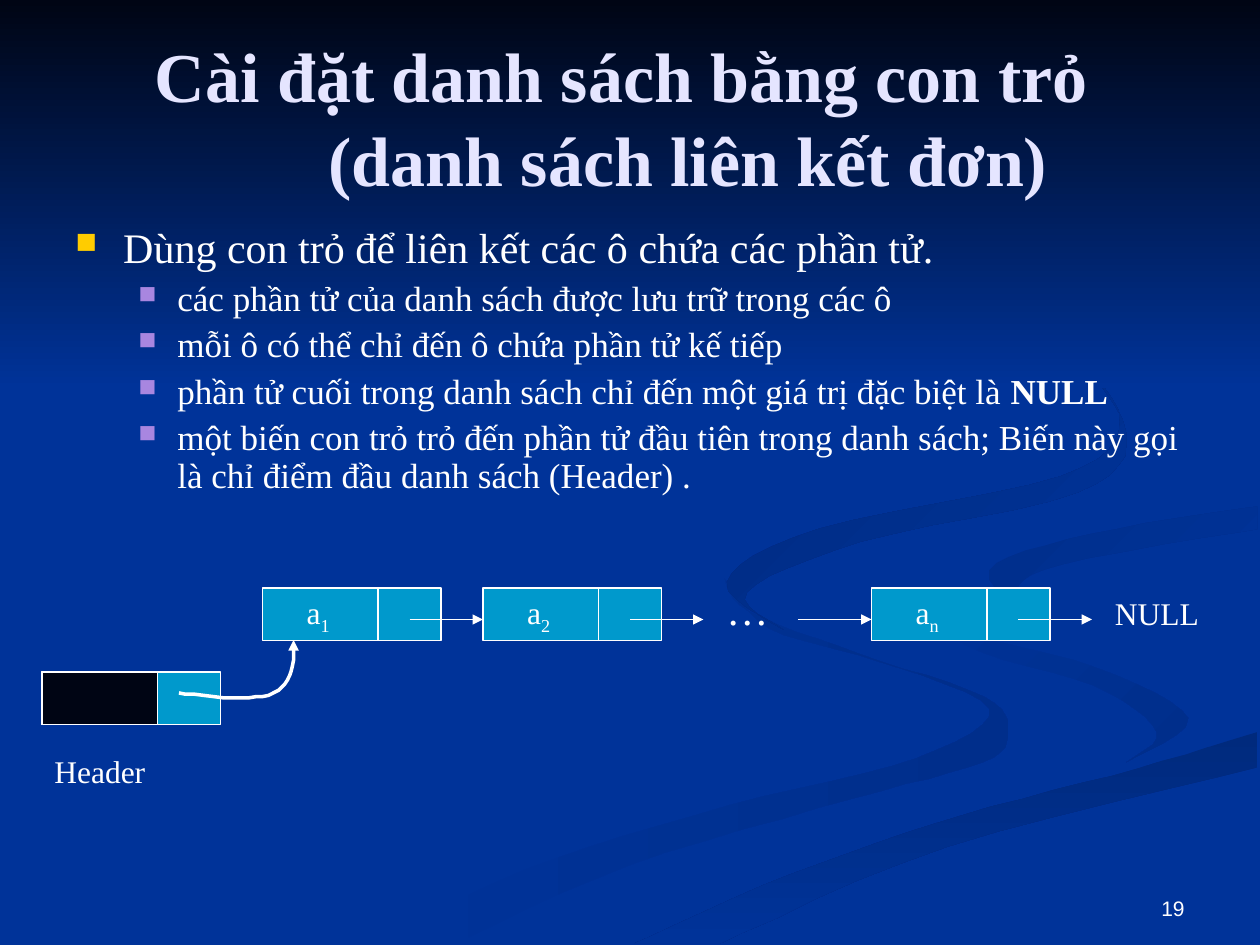
from dataclasses import dataclass
from lxml.etree import SubElement
from pptx import Presentation
from pptx.dml.color import RGBColor
from pptx.enum.shapes import MSO_CONNECTOR as CONN, MSO_SHAPE as SHAPE
from pptx.enum.text import MSO_ANCHOR as ANCHOR, PP_ALIGN as ALIGN
from pptx.oxml.ns import qn
from pptx.util import Inches, Pt


@dataclass(frozen=True)
class Theme:
    ground: str = "003399"
    night: str = "000514"
    shade: str = "002E8B"
    deep: str = "002A7D"
    cell: str = "0099CC"
    text: str = "FFFFFF"
    title: str = "E5E5FF"
    bullet: str = "FFCC00"
    sub_bullet: str = "A886E0"
    serif: str = "Times New Roman"
    sans: str = "Arial"
    title_size: int = 40
    body_size: int = 24
    sub_size: int = 20
    label_size: int = 18
    number_size: int = 12
    thin: float = 0.75
    thick: float = 2


COLS, ROWS = 120, 90
HUNDREDTH = 9144  # EMU in a hundredth of an inch, the unit of curves

# Ribbons of the backdrop: first colour, last colour, clockwise angle, two edges
RIBBONS = [
    (Theme.ground, Theme.shade, 0,
     [(575, 459), (611, 499), (697, 525), (785, 562), (727, 602), (579, 639),
      (417, 690), (300, 749)],
     [(361, 749), (499, 687), (676, 634), (780, 605), (800, 581), (781, 553),
      (682, 519), (594, 485), (575, 459)]),
    (Theme.ground, Theme.shade, 45,
     [(724, 464), (766, 512), (868, 544), (918, 581), (894, 605)],
     [(894, 605), (943, 570), (870, 530), (758, 498), (724, 464)]),
    (Theme.deep, Theme.ground, 90,
     [(503, 749), (630, 693), (764, 647), (903, 610), (998, 581)],
     [(998, 609), (752, 672), (571, 749)]),
    (Theme.shade, Theme.ground, 45,
     [(998, 402), (865, 424), (785, 453), (826, 496)],
     [(826, 496), (805, 472), (843, 448), (998, 420)]),
    (Theme.deep, Theme.ground, 45,
     [(762, 233), (846, 279), (889, 335), (842, 378), (649, 420), (577, 462), (622, 500)],
     [(622, 500), (593, 470), (683, 430), (855, 391), (894, 344), (843, 275), (762, 233)]),
]
POINTER = [(142, 550), (185, 554), (217, 550), (231, 533), (233, 508)]


def rgb(code):
    return RGBColor.from_string(code)


def smooth(knots, steps=6):
    """Points on a Catmull-Rom curve through the knots."""
    ends = [knots[0], *knots, knots[-1]]
    pts = [knots[0]]
    for quad in zip(ends, ends[1:], ends[2:], ends[3:]):
        for t in (i / steps for i in range(1, steps + 1)):
            pts.append(tuple(
                round(b + t / 2 * (c - a + t * (2 * a - 5 * b + 4 * c - d
                                                + t * (3 * (b - c) + d - a))))
                for a, b, c, d in zip(*quad)))
    return pts


class Deck:
    def __init__(self, theme):
        self.theme = theme
        self.prs = Presentation()
        self.prs.slide_width, self.prs.slide_height = Inches(10), Inches(7.5)
        self.s = self.prs.slides.add_slide(self.prs.slide_layouts[6])
        self.s.background.fill.solid()
        self.s.background.fill.fore_color.rgb = rgb(theme.ground)

    def grid(self, *lengths):
        """Alternating column and row counts as slide lengths."""
        units = (self.prs.slide_width / COLS, self.prs.slide_height / ROWS)
        return [round(n * units[i % 2]) for i, n in enumerate(lengths)]

    def stroke(self, sp, width, arrow=False):
        sp.line.color.rgb = rgb(self.theme.text)
        sp.line.width = Pt(width)
        if arrow:
            SubElement(sp.element.spPr.find(qn("a:ln")), qn("a:tailEnd"), type="triangle")

    def gradient(self, sp, first, last, angle):
        sp.shadow.inherit = False
        sp.line.fill.background()
        sp.fill.gradient()
        sp.fill.gradient_angle = -angle % 360
        for stop, color in zip(sp.fill.gradient_stops, (first, last)):
            stop.color.rgb = rgb(color)

    def outline(self, pts, close=True):
        fb = self.s.shapes.build_freeform(*pts[0], scale=HUNDREDTH)
        fb.add_line_segments(pts[1:], close=close)
        sp = fb.convert_to_shape()
        sp.shadow.inherit = False
        return sp

    def backdrop(self):
        t = self.theme
        for first, last, angle, there, back in RIBBONS:
            ribbon = self.outline(smooth(there) + smooth(back))
            self.gradient(ribbon, first, last, angle)
        sky = self.s.shapes.add_shape(SHAPE.RECTANGLE, *self.grid(0, 0, COLS, 37))
        self.gradient(sky, t.night, t.ground, 90)

    def run(self, p, text, size, color=None, font=None, bold=False):
        r = p.add_run()
        r.text = text
        r.font.size, r.font.bold = Pt(size), bold
        r.font.name = font or self.theme.serif
        r.font.color.rgb = rgb(color or self.theme.text)
        return r

    def box(self, *place, anchor=ANCHOR.TOP):
        tf = self.s.shapes.add_textbox(*self.grid(*place)).text_frame
        tf.word_wrap, tf.vertical_anchor = True, anchor
        return tf

    def label(self, text, size, *place):
        self.run(self.box(*place).paragraphs[0], text, size)

    def indent(self, p, margin, first):
        pPr = p._p.get_or_add_pPr()
        pPr.set("marL", str(Inches(margin)))
        pPr.set("indent", str(Inches(first)))
        return pPr

    def title(self, first, second):
        t = self.theme
        p = self.box(6, 3.6, 108, 15, anchor=ANCHOR.MIDDLE).paragraphs[0]
        p.alignment = ALIGN.CENTER
        self.indent(p, 0.92, -0.92)
        self.run(p, first, t.title_size, t.title, bold=True)
        p.add_line_break()
        self.run(p, second, t.title_size, t.title, bold=True)

    def bullets(self, head, items):
        """A main point and its sub-points, each a list of (text, bold) runs."""
        t = self.theme
        tf = self.box(6, 21, 108, 28)
        for i, runs in enumerate([head] + items):
            p = tf.add_paragraph() if i else tf.paragraphs[0]
            pPr = self.indent(p, *((0.81, -0.31) if i else (0.38, -0.38)))
            clr = SubElement(pPr, qn("a:buClr"))
            SubElement(clr, qn("a:srgbClr"), val=t.sub_bullet if i else t.bullet)
            SubElement(pPr, qn("a:buSzPct"), val="70000")
            SubElement(pPr, qn("a:buChar"), char="■")
            p.level, p.line_spacing, p.space_before = min(i, 1), 0.9, Pt(5 if i else 0)
            for text, bold in runs:
                self.run(p, text, t.sub_size if i else t.body_size, bold=bold)

    def line(self, x1, y1, x2, y2, arrow=False):
        c = self.s.shapes.add_connector(CONN.STRAIGHT, *self.grid(x1, y1, x2, y2))
        self.stroke(c, self.theme.thin, arrow)
        SubElement(c.element.spPr, qn("a:effectLst"))

    def cell(self, x, y, width, color):
        sp = self.s.shapes.add_shape(SHAPE.RECTANGLE, *self.grid(x, y, width, 5))
        sp.shadow.inherit = False
        sp.fill.solid()
        sp.fill.fore_color.rgb = rgb(color)
        self.stroke(sp, self.theme.thin)
        return sp

    def node(self, x, y, index=None):
        """A data field and a pointer field; with an index, the arrow to the next."""
        t = self.theme
        sp = self.cell(x, y, 17, t.cell)
        self.line(x + 11, y, x + 11, y + 5)
        if index is None:
            self.cell(x, y, 11, t.night)
            return
        tf = sp.text_frame
        tf.margin_left, tf.vertical_anchor = Inches(0.35), ANCHOR.MIDDLE
        p = tf.paragraphs[0]
        p.alignment = ALIGN.LEFT
        self.run(p, "a", t.label_size)
        self.run(p, index, t.label_size).font._element.set("baseline", "-25000")
        self.line(x + 14, y + 3, x + 21, y + 3, arrow=True)

    def pointer(self):
        sp = self.outline(smooth(POINTER), close=False)
        sp.fill.background()
        self.stroke(sp, self.theme.thick, arrow=True)

    def number(self, text):
        p = self.box(86, 82, 28, 6.25, anchor=ANCHOR.BOTTOM).paragraphs[0]
        p.alignment = ALIGN.RIGHT
        self.run(p, text, self.theme.number_size, font=self.theme.sans)


def main():
    t = Theme()
    deck = Deck(t)
    deck.backdrop()
    deck.number("19")
    deck.title("Cài đặt danh sách bằng con trỏ ", "(danh sách liên kết đơn)")
    deck.bullets([("Dùng con trỏ để liên kết các ô chứa các phần tử.", False)], [
        [("các phần tử của danh sách được lưu trữ trong các ô", False)],
        [("mỗi ô có thể chỉ đến ô chứa phần tử kế tiếp", False)],
        [("phần tử cuối trong danh sách chỉ đến một giá trị đặc biệt là ", False),
         ("NULL", True)],
        [("một biến con trỏ trỏ đến phần tử đầu tiên trong danh sách; Biến này gọi "
          "là chỉ điểm đầu danh sách (Header) .", False)]])
    for x, index in ((25, "1"), (46, "2"), (83, "n")):
        deck.node(x, 56, index)
    deck.label("NULL", t.label_size, 105, 56, 12, 4.8)
    deck.line(76, 59, 83, 59, arrow=True)
    deck.label("…", t.body_size, 68, 55, 9, 6)
    deck.node(4, 64)
    deck.pointer()
    deck.label("Header", t.label_size, 4, 71, 14, 4.8)
    deck.prs.save("out.pptx")


if __name__ == "__main__":
    main()
